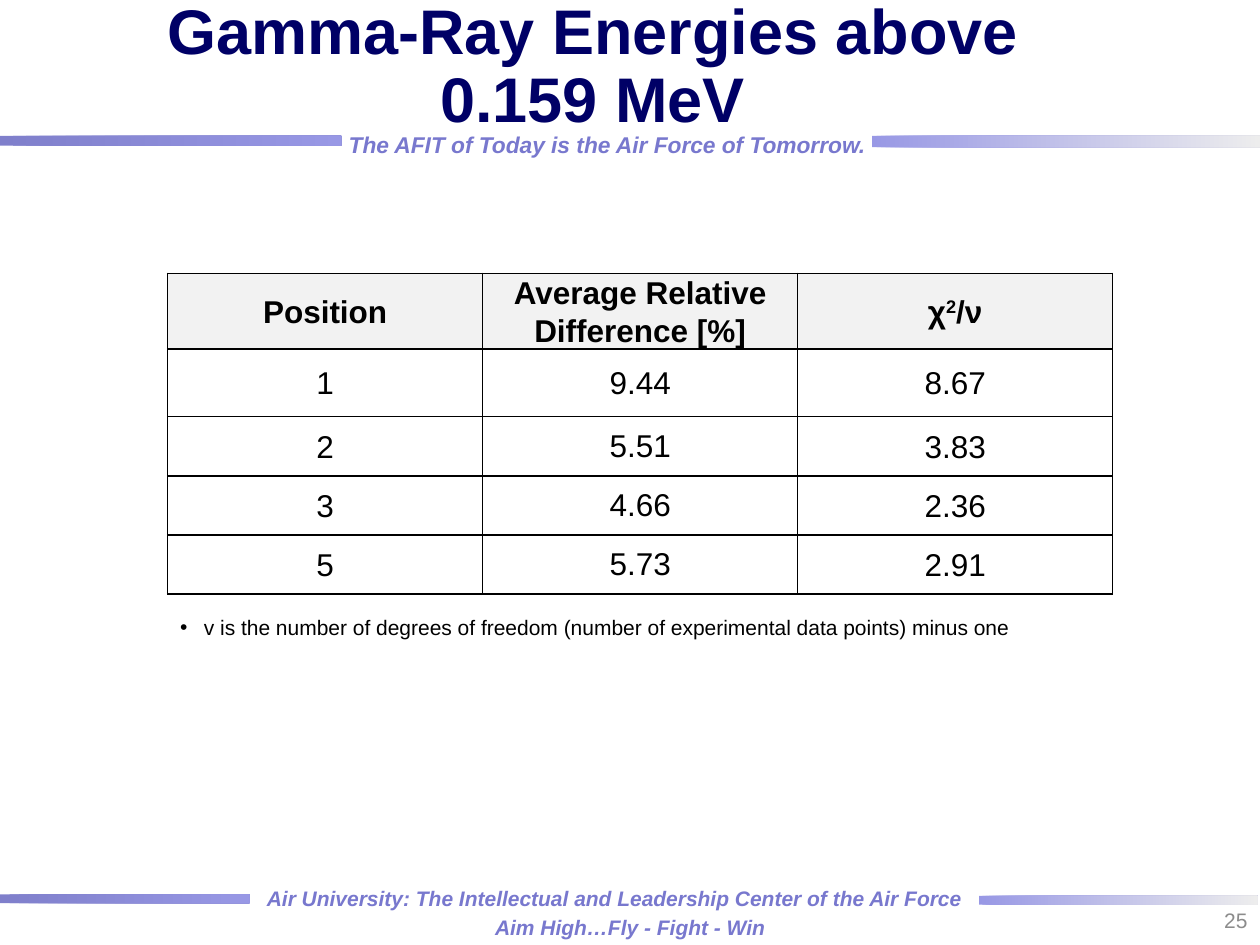
from pptx import Presentation
from pptx.dml.color import RGBColor
from pptx.enum.shapes import MSO_SHAPE as Shape
from pptx.enum.text import MSO_ANCHOR as Anchor, MSO_AUTO_SIZE as AutoSize, PP_ALIGN as Align
from pptx.oxml.ns import qn
from pptx.util import Cm, Pt
from lxml.etree import SubElement

FONT = "Arial"
NAVY = RGBColor(0x00, 0x00, 0x66)
DEEP_BLUE = RGBColor(0x00, 0x00, 0x99)
BLUE = RGBColor(0x33, 0x33, 0xCC)
PALE_GRAY = RGBColor(0xDD, 0xDD, 0xDD)
LAVENDER = RGBColor(0x78, 0x78, 0xCE)
GRAY = RGBColor(0x8C, 0x8C, 0x8C)
HEADER_FILL = RGBColor(0xF2, 0xF2, 0xF2)
BLACK = RGBColor(0x00, 0x00, 0x00)
WHITE = RGBColor(0xFF, 0xFF, 0xFF)

# Each cell is a list of (text, baseline in thousandths of a percent).
HEADER = [
    [("Position", 0)],
    [("Average Relative Difference [%]", 0)],
    [("χ", 0), ("2", 30000), ("/ν", 0)],
]
RESULTS = [
    ("1", "9.44", "8.67"),
    ("2", "5.51", "3.83"),
    ("3", "4.66", "2.36"),
    ("5", "5.73", "2.91"),
]
ROW_HEIGHTS = [1.52, 1.37, 1.19, 1.19, 1.19]
COLUMN_WIDTH = 6.35


def add_span(para, text, size, color, bold=False, italic=False):
    span = para.add_run()
    span.text = text
    font = span.font
    font.name, font.size, font.bold, font.italic = FONT, Pt(size), bold, italic
    font.color.rgb = color
    return span


def add_bar(page, left, top, width, height, start, end):
    """Add a half-transparent bar that fades from start to end."""
    bar = page.shapes.add_shape(Shape.RECTANGLE, Cm(left), Cm(top), Cm(width), Cm(height))
    bar.shadow.inherit = False
    bar.line.fill.background()
    bar.fill.gradient()
    bar.fill.gradient_angle = 0
    for stop, color, position in zip(bar.fill.gradient_stops, (start, end), (0, 1)):
        stop.color.rgb = color
        stop.position = position
    for color in bar.element.spPr.iter(qn("a:srgbClr")):
        SubElement(color, qn("a:alpha"), val="50000")


def add_box(page, left, top, width, height, align=Align.LEFT, anchor=Anchor.TOP, wrap=True):
    """Add an empty text box and return its first paragraph."""
    box = page.shapes.add_textbox(Cm(left), Cm(top), Cm(width), Cm(height))
    frame = box.text_frame
    frame.word_wrap = wrap
    frame.auto_size = AutoSize.NONE
    frame.vertical_anchor = anchor
    para = frame.paragraphs[0]
    para.alignment = align
    return para


def add_motto(page, left, top, width, height, text, size):
    para = add_box(page, left, top, width, height, wrap=False)
    add_span(para, text, size, LAVENDER, bold=True, italic=True)


def add_bullet(para):
    properties = para._p.get_or_add_pPr()
    properties.set("marL", str(Cm(0.48)))
    properties.set("indent", str(-Cm(0.48)))
    SubElement(properties, qn("a:buFont"), typeface=FONT)
    SubElement(properties, qn("a:buChar"), char="•")


def add_borders(cell):
    properties = cell._tc.get_or_add_tcPr()
    for side in ("lnL", "lnR", "lnT", "lnB"):
        line = SubElement(properties, qn(f"a:{side}"), w=str(Pt(1)))
        fill = SubElement(line, qn("a:solidFill"))
        SubElement(fill, qn("a:srgbClr"), val=str(BLACK))


def fill_cell(cell, parts, color, bold, spacing):
    add_borders(cell)
    cell.fill.solid()
    cell.fill.fore_color.rgb = color
    cell.vertical_anchor = Anchor.MIDDLE
    cell.margin_left = cell.margin_right = Cm(0.18)
    cell.margin_top = cell.margin_bottom = 0
    para = cell.text_frame.paragraphs[0]
    para.alignment = Align.CENTER
    para.line_spacing = spacing
    for text, baseline in parts:
        span = add_span(para, text, 18, BLACK, bold=bold)
        if baseline:
            span.font._element.set("baseline", str(baseline))


def add_results_table(page, left, top):
    rows = [HEADER] + [[[(value, 0)] for value in result] for result in RESULTS]
    columns = len(HEADER)
    table = page.shapes.add_table(
        len(rows), columns, Cm(left), Cm(top), Cm(COLUMN_WIDTH * columns), Cm(sum(ROW_HEIGHTS))
    ).table
    for column in table.columns:
        column.width = Cm(COLUMN_WIDTH)
    for i, (row, height) in enumerate(zip(rows, ROW_HEIGHTS)):
        table.rows[i].height = Cm(height)
        for j, parts in enumerate(row):
            is_header = i == 0
            spacing = 1.0 if i > 1 and j == 1 else 1.07
            fill_cell(table.cell(i, j), parts, HEADER_FILL if is_header else WHITE, is_header, spacing)


def main():
    deck = Presentation()
    deck.slide_width, deck.slide_height = Cm(25.4), Cm(19.05)
    page = deck.slides.add_slide(deck.slide_layouts[6])

    add_bar(page, 0, 18.03, 5.03, 0.18, DEEP_BLUE, BLUE)
    add_bar(page, 19.74, 18.06, 5.61, 0.18, BLUE, PALE_GRAY)
    add_bar(page, 17.58, 2.74, 7.82, 0.23, BLUE, PALE_GRAY)
    add_bar(page, 0, 2.74, 6.88, 0.2, DEEP_BLUE, BLUE)

    add_motto(page, 5.13, 17.73, 14.63, 0.74,
              "Air University: The Intellectual and Leadership Center of the Air Force", 12)
    add_motto(page, 9.73, 18.31, 5.99, 0.74, "Aim High…Fly - Fight - Win", 12)
    add_motto(page, 6.78, 2.51, 11.05, 0.79, "The AFIT of Today is the Air Force of Tomorrow.", 13)

    title = add_box(page, 2.74, 0, 18.42, 2.74, Align.CENTER, Anchor.MIDDLE)
    title.line_spacing = 0.9
    add_span(title, "Gamma-Ray Energies above 0.159 MeV", 36, NAVY, bold=True)

    number = add_box(page, 19.48, 18.03, 5.92, 1.02, Align.RIGHT, Anchor.MIDDLE)
    add_span(number, "25", 12, GRAY)

    add_results_table(page, 3.38, 5.51)

    note = add_box(page, 3.38, 12.27, 19.25, 1.55)
    add_bullet(note)
    add_span(note, "v is the number of degrees of freedom (number of experimental data points) minus one",
             12, BLACK)

    deck.save("out.pptx")


if __name__ == "__main__":
    main()
